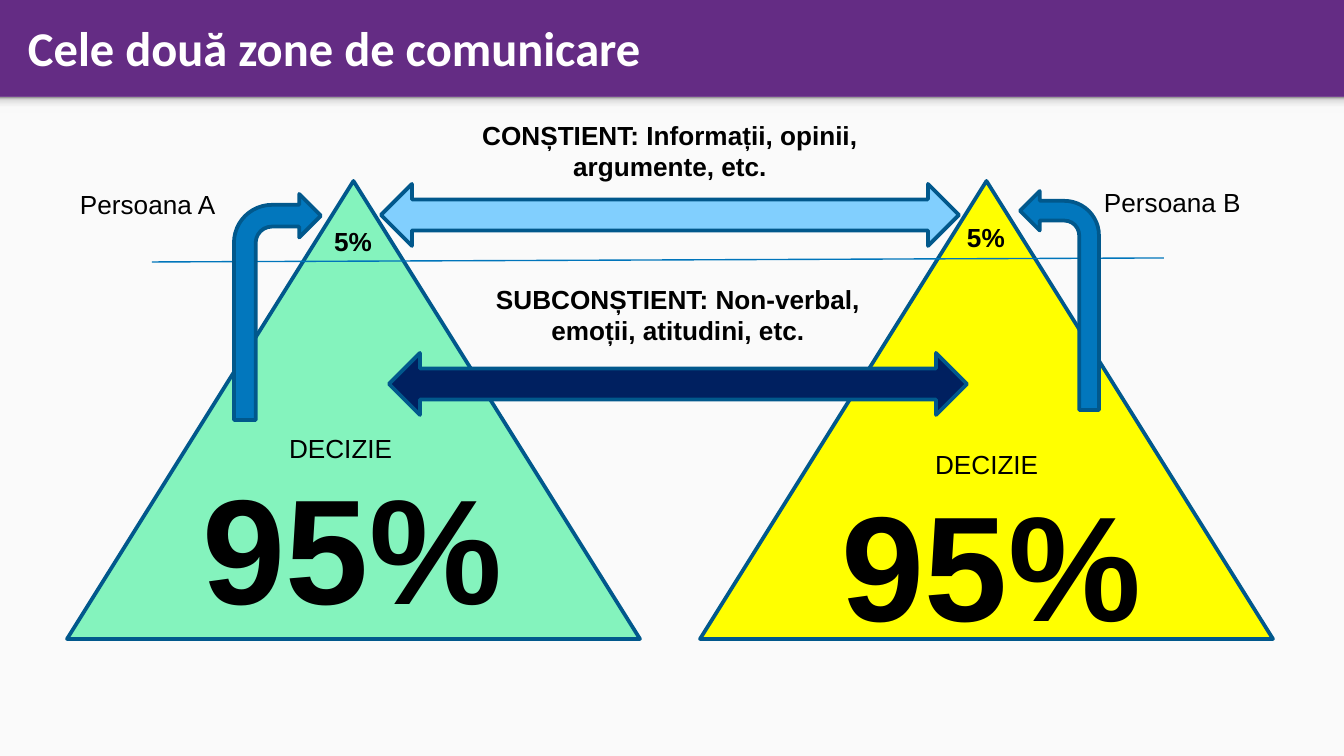
from copy import deepcopy

from lxml import etree
from pptx import Presentation
from pptx.dml.color import RGBColor
from pptx.enum.shapes import MSO_CONNECTOR, MSO_SHAPE
from pptx.enum.text import MSO_ANCHOR, PP_ALIGN
from pptx.oxml.ns import qn
from pptx.util import Pt

EMU_PER_PX = 914400 / 134.4
WIDTH, HEIGHT, HEADER = 1344, 756, 97
RECTANGLE = MSO_SHAPE.RECTANGLE
TRIANGLE = MSO_SHAPE.ISOSCELES_TRIANGLE
DOUBLE_ARROW = MSO_SHAPE.LEFT_RIGHT_ARROW
BENT_ARROW = MSO_SHAPE.BENT_ARROW
STRAIGHT = MSO_CONNECTOR.STRAIGHT
LEFT, CENTER = PP_ALIGN.LEFT, PP_ALIGN.CENTER
TOP, MIDDLE = MSO_ANCHOR.TOP, MSO_ANCHOR.MIDDLE
OUTLINE = "01588C"
SHADOW_STOPS = [(0, "F9F9F9"), (0.36, "F9F9F9"), (0.8, "DEDEDE"), (1, "999999")]
TRIANGLE_SIZE = (573, 458)
PERSON_A = {
    "origin": (67, 181), "fill": "84F3BD", "name": "Persoana A", "name_at": (0, 0),
    "small_at": (254, 37), "large_at": (123, 267), "decision_at": (209, 244),
    "arrow_box": (167, 13, 87, 226), "mirrored": False,
}
PERSON_B = {
    "origin": (700, 181), "fill": "FFFF00", "name": "Persoana B", "name_at": (391, -2),
    "small_at": (254, 33), "large_at": (129, 284), "decision_at": (222, 260),
    "arrow_box": (320, 10, 79, 219), "mirrored": True,
}


def px(length):
    """Turn pixels into EMU."""
    return round(length * EMU_PER_PX)


def color(value):
    """Turn a hex string into a colour."""
    return RGBColor.from_string(value)


def add_text(page, box, lines, size=14, font="Arial", ink="000000", bold=False,
             align=LEFT, anchor=TOP, wrap=False, inset_y=7):
    """Add a text box with one paragraph for each line."""
    shape = page.shapes.add_textbox(*map(px, box))
    frame = shape.text_frame
    frame.word_wrap = wrap
    frame.vertical_anchor = anchor
    frame.margin_left = frame.margin_right = px(13)
    frame.margin_top = frame.margin_bottom = px(inset_y)
    for index, line in enumerate(lines):
        para = frame.paragraphs[0] if index == 0 else frame.add_paragraph()
        para.alignment = align
        span = para.add_run()
        span.text = line
        span.font.name = font
        span.font.size = Pt(size)
        span.font.bold = bold
        span.font.color.rgb = color(ink)


def add_shape(page, kind, box, fill, outline=None):
    """Add a flat preset shape with an optional outline."""
    shape = page.shapes.add_shape(kind, *map(px, box))
    shape.shadow.inherit = False
    shape.fill.solid()
    shape.fill.fore_color.rgb = color(fill)
    if outline:
        shape.line.color.rgb = color(outline)
        shape.line.width = Pt(2)
    else:
        shape.line.fill.background()
    return shape


def add_header(page, box):
    """Add the title band, the panel below it and the soft edge between them."""
    left, top, width, height = box
    bottom = top + height
    page.background.fill.solid()
    page.background.fill.fore_color.rgb = color("642C84")
    add_shape(page, RECTANGLE, (left, bottom, width, HEIGHT - bottom), "FAFAFA")
    edge = add_shape(page, RECTANGLE, (left, bottom, width, 16), "F9F9F9")
    edge.fill.gradient()
    edge.fill.gradient_angle = 90
    stop_list = next(edge._element.spPr.iter(qn("a:gsLst")))
    for stop in list(stop_list):
        stop_list.append(deepcopy(stop))
    for stop, (position, shade) in zip(edge.fill.gradient_stops, SHADOW_STOPS):
        stop.position = position
        stop.color.rgb = color(shade)
    add_text(page, (left + 15, top + 3, width - 47, height - 8),
             ["Cele două zone de comunicare"], size=26, font="Calibri",
             ink="FFFFFF", bold=True, anchor=MIDDLE, wrap=True, inset_y=13)


def add_divider(page, start, end):
    """Add the thin line between the two zones."""
    line = page.shapes.add_connector(STRAIGHT, *map(px, start + end))
    line.line.color.rgb = color("0075BB")
    line.line.width = Pt(0.75)
    etree.SubElement(line._element.spPr, qn("a:effectLst"))


def add_person(page, person):
    """Add the labels and the bent arrow of one person's triangle."""
    left, top = person["origin"]

    def place(at, size):
        """Shift a box from the triangle to the page."""
        return (left + at[0], top + at[1], *size)

    add_text(page, place(person["small_at"], (66, 46)), ["5%"], bold=True)
    add_text(page, place(person["large_at"], (329, 195)), ["95%"], size=80, bold=True)
    add_text(page, place(person["name_at"], (165, 46)), [person["name"]])
    add_text(page, place(person["decision_at"], (132, 46)), ["DECIZIE"])
    arrow_box = person["arrow_box"]
    arrow = add_shape(page, BENT_ARROW, place(arrow_box[:2], arrow_box[2:]),
                      "0277BD", OUTLINE)
    if person["mirrored"]:
        arrow._element.spPr.xfrm.set("flipH", "1")


def add_exchange(page, box, lines, fill):
    """Add a caption with a double arrow below it."""
    left, top, width, height = box
    add_text(page, (left, top, width, 77), lines, bold=True, align=CENTER)
    add_shape(page, DOUBLE_ARROW, (left, top + height - 62, width, 62), fill, OUTLINE)


def main():
    """Build the slide and save it."""
    deck = Presentation()
    deck.slide_width, deck.slide_height = px(WIDTH), px(HEIGHT)
    page = deck.slides.add_slide(deck.slide_layouts[6])
    add_header(page, (0, 0, WIDTH, HEADER))
    people = (PERSON_A, PERSON_B)
    for person in people:
        add_shape(page, TRIANGLE, person["origin"] + TRIANGLE_SIZE, person["fill"], OUTLINE)
    add_divider(page, (152, 262), (1164, 258))
    add_exchange(page, (381, 112, 578, 134),
                 ["CONȘTIENT: Informații, opinii,", "argumente, etc."], "81CFFE")
    add_exchange(page, (389, 276, 578, 139),
                 ["SUBCONȘTIENT: Non-verbal,", "emoții, atitudini, etc."], "002060")
    for person in people:
        add_person(page, person)
    deck.save("out.pptx")


if __name__ == "__main__":
    main()
